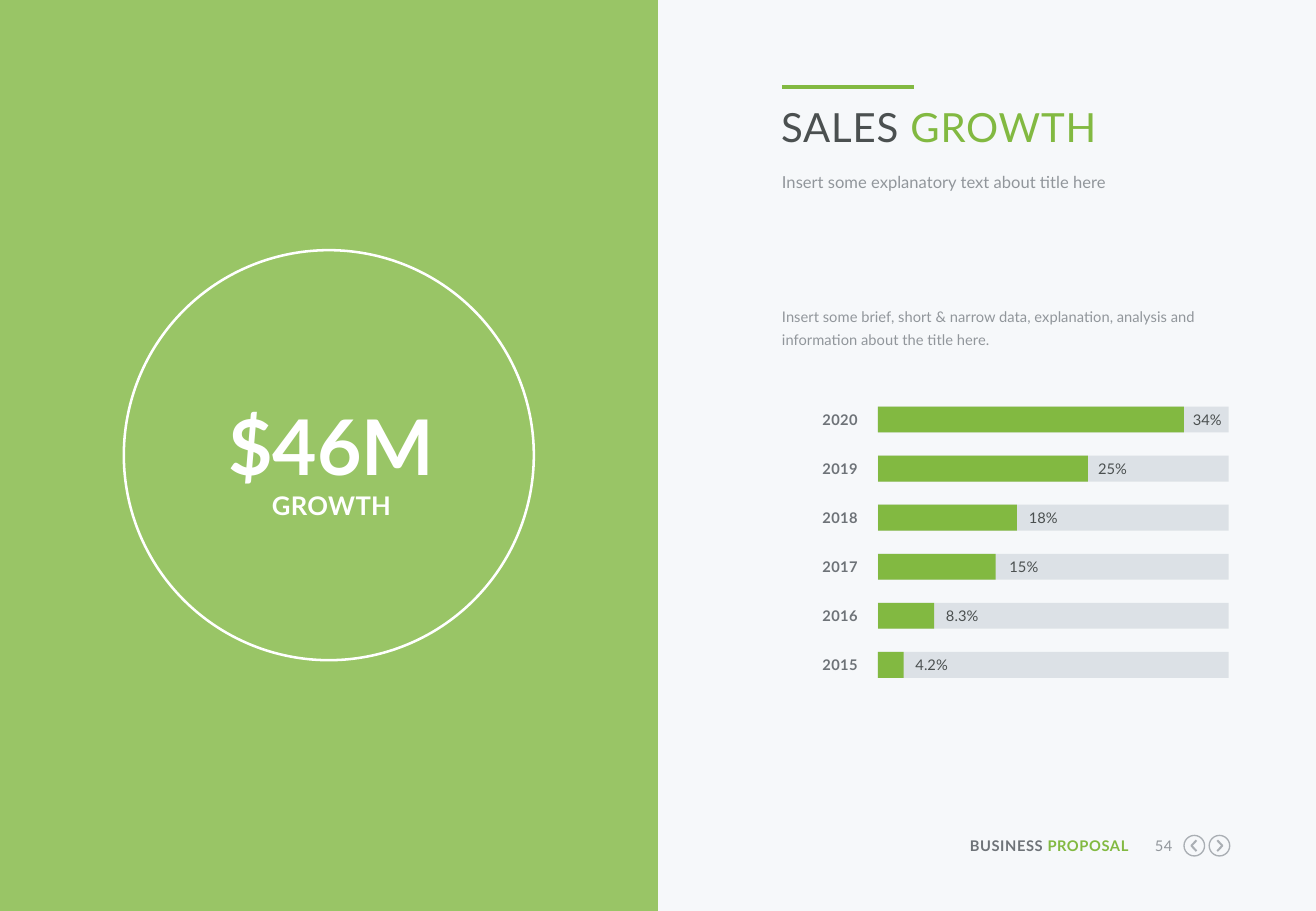
from pptx import Presentation
from pptx.dml.color import RGBColor as RGB
from pptx.enum.shapes import MSO_CONNECTOR as CONN, MSO_SHAPE as SHAPE
from pptx.enum.text import MSO_ANCHOR as ANCHOR, MSO_AUTO_SIZE as AUTO, PP_ALIGN as AL
from pptx.oxml.ns import qn
from pptx.util import Pt
from lxml import etree

THEME = {
    "font": "Lato",
    "green": RGB.from_string("82B941"), "white": RGB.from_string("FFFFFF"),
    "back": RGB.from_string("F6F8FA"), "track": RGB.from_string("DCE1E6"),
    "dark": RGB.from_string("4B5050"), "label": RGB.from_string("6E7378"),
    "grey": RGB.from_string("91969B"), "icon": RGB.from_string("AAAFB4"),
    "small": 8.7, "lead": 9.8, "caption": 15.2, "title": 23.8, "figure": 45.5,
}


def write(box, runs, size, bold=False, align=AL.LEFT, spacing=1.0, track=0):
    """Fill a text shape with one paragraph of (text, colour) runs."""
    tf = box.text_frame
    frame = {"margin_left": 0, "margin_top": 0, "margin_right": 0, "margin_bottom": 0,
             "word_wrap": True, "auto_size": AUTO.NONE, "vertical_anchor": ANCHOR.TOP}
    for name, value in frame.items():
        setattr(tf, name, value)
    p = tf.paragraphs[0]
    p.alignment, p.line_spacing = align, spacing
    for text, color in runs:
        r = p.add_run()
        r.text = text
        for name, value in {"name": THEME["font"], "size": Pt(THEME[size]), "bold": bold}.items():
            setattr(r.font, name, value)
        r.font.color.rgb = THEME[color]
        if track:
            r.font._element.set("spc", str(track))


def paint(sp, fill=None, line=None, width=1.0):
    """Set fill and outline of a shape and drop its shadow."""
    sp.shadow.inherit = False
    for part, color in ((sp.fill, fill), (sp.line.fill, line)):
        if color:
            part.solid()
            part.fore_color.rgb = THEME[color]
        else:
            part.background()
    if line:
        sp.line.width = Pt(width)


prs = Presentation()
prs.slide_width, prs.slide_height = Pt(780), Pt(540)
s = prs.slides.add_slide(prs.slide_layouts[5])
s.background.fill.solid()
s.background.fill.fore_color.rgb = THEME["back"]
shapes = s.shapes

# Left panel, 80 % opaque
panel = shapes.add_shape(SHAPE.RECTANGLE, 0, 0, Pt(390), Pt(540))
paint(panel, "green")
color = panel._element.spPr.find(".//" + qn("a:srgbClr"))
etree.SubElement(color, qn("a:alpha")).set("val", "80000")

# Growth circle
ring = shapes.add_shape(SHAPE.OVAL, Pt(73.4), Pt(148.3), Pt(243), Pt(243))
paint(ring, line="white", width=1.5)
for text, top, height, fmt in (
    ("$46M", 225.4, 66, {"size": "figure", "spacing": 1.2}),
    ("GROWTH", 290.2, 19, {"size": "caption", "track": 20}),
):
    box = shapes.add_textbox(Pt(115.2), Pt(top), Pt(162.7), Pt(height))
    write(box, [(text, "white")], bold=True, align=AL.CENTER, **fmt)

# Heading
rule = shapes.add_connector(CONN.STRAIGHT, Pt(463.5), Pt(51.8), Pt(541.5), Pt(51.8))
rule.line.color.rgb = THEME["green"]
rule.line.width = Pt(2.25)
etree.SubElement(rule._element.spPr, qn("a:effectLst"))

title = shapes.title
for name, value in {"left": 463, "top": 60.5, "width": 266.4, "height": 28.8}.items():
    setattr(title, name, Pt(value))
write(title, [("SALES ", "dark"), ("GROWTH", "green")], "title", track=50)

# Lead line and description
for text, top, height, fmt in (
    ("Insert some explanatory text about title here", 101.5, 12.2,
     {"size": "lead", "spacing": Pt(12)}),
    ("Insert some brief, short & narrow data, explanation, analysis and "
     "information about the title here.", 179.3, 27.4, {"size": "small", "spacing": 1.3}),
):
    box = shapes.add_textbox(Pt(463.5), Pt(top), Pt(265.3), Pt(height))
    write(box, [(text, "grey")], **fmt)

# Yearly bars: year, value, bar width, gap before the value
BAR_X, BAR_Y, BAR_W, BAR_H, PITCH = 520.4, 241, 207.9, 15.4, 29.08
bars = [
    ("2020", "34%", 181.3, 5.3), ("2019", "25%", 124.4, 6), ("2018", "18%", 82.4, 7),
    ("2017", "15%", 69.7, 8.2), ("2016", "8.3%", 33.3, 7), ("2015", "4.2%", 15.2, 7),
]
for i, (year, value, width, gap) in enumerate(bars):
    y = BAR_Y + i * PITCH
    for w, fill in ((BAR_W, "track"), (width, "green")):
        bar = shapes.add_shape(SHAPE.RECTANGLE, Pt(BAR_X), Pt(y), Pt(w), Pt(BAR_H))
        paint(bar, fill)
    box = shapes.add_textbox(Pt(463), Pt(y + 2.3), Pt(45.4), Pt(10.8))
    write(box, [(year, "label")], "small", bold=True, align=AL.RIGHT, track=20)
    box = shapes.add_textbox(Pt(BAR_X + width + gap), Pt(y + 2.3), Pt(20.9), Pt(10.8))
    write(box, [(value, "dark")], "small")

# Footer
for runs, left, width, bold in (
    ([("BUSINESS ", "label"), ("PROPOSAL", "green")], 560.2, 108.7, True),
    ([("54", "grey")], 677.3, 17.6, False),
):
    box = shapes.add_textbox(Pt(left), Pt(496), Pt(width), Pt(10.8))
    write(box, runs, "small", bold=bold, align=AL.RIGHT, track=30)

# Page arrows: centre and pointing direction
CY = 501.3
for cx, way in ((707.9, -1), (722.8, 1)):
    disc = shapes.add_shape(SHAPE.OVAL, Pt(cx - 6.1), Pt(CY - 6.1), Pt(12.2), Pt(12.2))
    paint(disc, line="icon", width=0.8)
    tail, tip = cx - way * 1.3, cx + way * 1.7
    path = shapes.build_freeform(Pt(tail), Pt(CY - 3.2))
    path.add_line_segments([(Pt(tip), Pt(CY)), (Pt(tail), Pt(CY + 3.2))], close=False)
    paint(path.convert_to_shape(), line="icon", width=1.2)

prs.save("out.pptx")
